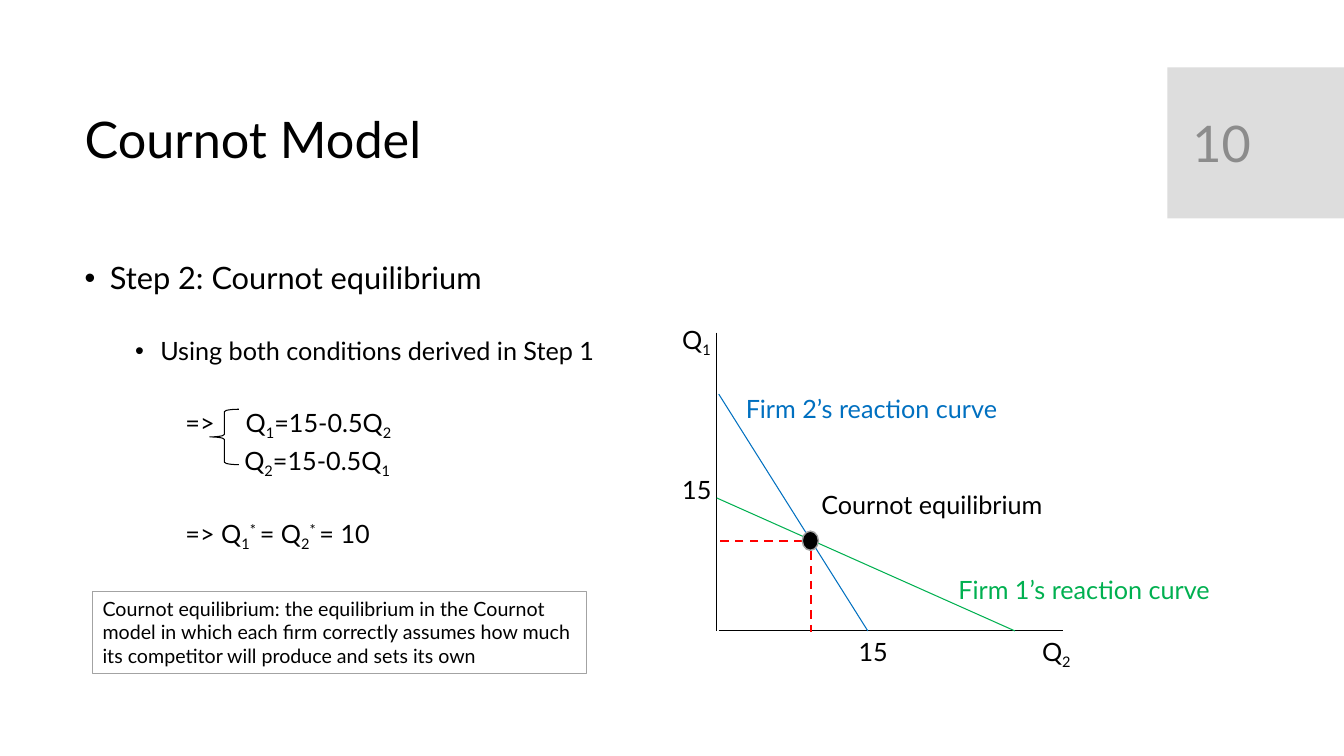
from dataclasses import dataclass

from lxml import etree
from pptx import Presentation
from pptx.dml.color import RGBColor
from pptx.enum.dml import MSO_LINE
from pptx.enum.shapes import MSO_CONNECTOR, MSO_SHAPE
from pptx.enum.text import MSO_ANCHOR, MSO_AUTO_SIZE, PP_ALIGN
from pptx.oxml.ns import qn
from pptx.util import Pt

STRAIGHT = MSO_CONNECTOR.STRAIGHT
RECTANGLE, ELLIPSE, BRACE = MSO_SHAPE.RECTANGLE, MSO_SHAPE.OVAL, MSO_SHAPE.LEFT_BRACE
LEFT, TOP, MIDDLE = PP_ALIGN.LEFT, MSO_ANCHOR.TOP, MSO_ANCHOR.MIDDLE
NO_AUTOFIT, DASH = MSO_AUTO_SIZE.NONE, MSO_LINE.DASH

FONT = "Lato"
BLACK, GRAY, PALE, BORDER = "000000", "8C8C8C", "DDDDDD", "A3A3A3"
BLUE, GREEN, RED = "0070C0", "00B050", "FF0000"
SUB, SUPER = -25, 30

# A span is a text and its baseline shift in percent
Spans = tuple[tuple[str, int], ...]


@dataclass
class Item:
    spans: Spans
    level: int
    size: float
    margin: float
    indent: float
    before: float
    bullet: bool = False


@dataclass
class Label:
    spans: Spans
    left: float
    top: float
    width: float
    color: str = BLACK


@dataclass
class Segment:
    start: tuple[float, float]
    end: tuple[float, float]
    color: str = BLACK
    width: float = 0.75
    dashed: bool = False


ORIGIN_X, ORIGIN_Y = 512, 450.7
TICK_WIDTH, NAME_WIDTH, LABEL_HEIGHT = 44, 219.6, 28.8

ITEMS = [
    Item((("Step 2: Cournot equilibrium", 0),), 0, 22, 18, -18, 0, True),
    Item((("Using both conditions derived in Step 1", 0),), 1, 18, 54, -18, 30, True),
    Item((("=>\tQ", 0), ("1", SUB), ("=15-0.5Q", 0), ("2", SUB)), 2, 18, 115, -43, 30),
    Item((("Q", 0), ("2", SUB), ("=15-0.5Q", 0), ("1", SUB)), 2, 18, 114, 0, 5),
    Item((("=> Q", 0), ("1", SUB), ("* ", SUPER), ("= Q", 0), ("2", SUB),
          ("* ", SUPER), ("= 10", 0)), 2, 18, 72, 0, 30),
]
SEGMENTS = [
    Segment((ORIGIN_X, 237.6), (ORIGIN_X, ORIGIN_Y)),
    Segment((513.4, ORIGIN_Y), (759.6, ORIGIN_Y)),
    Segment((513.4, 281.5), (619.9, ORIGIN_Y), BLUE),
    Segment((ORIGIN_X, 355.7), (725, ORIGIN_Y), GREEN),
    Segment((573.1, 386.6), (513.4, 386.6), RED, 1.5, True),
    Segment((579.6, 393.8), (579.6, 451.4), RED, 1.5, True),
]
LABELS = [
    Label((("Q", 0), ("1", SUB)), 480.2, 228.2, TICK_WIDTH),
    Label((("Q", 0), ("2", SUB)), 737.3, ORIGIN_Y, TICK_WIDTH),
    Label((("15", 0),), 480.2, 335.5, TICK_WIDTH),
    Label((("15", 0),), 606.2, ORIGIN_Y, TICK_WIDTH),
    Label((("Firm 2’s reaction curve", 0),), 525.6, 277.2, NAME_WIDTH, BLUE),
    Label((("Firm 1’s reaction curve", 0),), 677.5, 406.8, NAME_WIDTH, GREEN),
    Label((("Cournot equilibrium", 0),), 579.6, 346.3, NAME_WIDTH),
]
DEFINITION = (
    "Cournot equilibrium: the equilibrium in the Cournot model in which each firm "
    "correctly assumes how much its competitor will produce and sets its own"
)


def rgb(color: str) -> RGBColor:
    return RGBColor.from_string(color)


def place(box, left: float, top: float, width: float, height: float) -> None:
    box.left, box.top, box.width, box.height = Pt(left), Pt(top), Pt(width), Pt(height)


def set_frame(box, anchor=TOP) -> None:
    frame = box.text_frame
    frame.word_wrap = True
    frame.auto_size = NO_AUTOFIT
    frame.vertical_anchor = anchor


def write(paragraph, spans: Spans, size: float, color: str = BLACK) -> None:
    paragraph.alignment = LEFT
    for text, shift in spans:
        span = paragraph.add_run()
        span.text = text
        font = span.font
        font.name, font.size, font.color.rgb = FONT, Pt(size), rgb(color)
        if shift:
            font._element.set("baseline", str(shift * 1000))


def add_text(page, label: Label, height: float, size: float, anchor=TOP) -> None:
    box = page.shapes.add_textbox(Pt(label.left), Pt(label.top), Pt(label.width), Pt(height))
    set_frame(box, anchor)
    write(box.text_frame.paragraphs[0], label.spans, size, label.color)


def add_item(paragraph, item: Item) -> None:
    paragraph.level = item.level
    paragraph.line_spacing = 0.9
    paragraph.space_before = Pt(item.before)
    properties = paragraph._p.get_or_add_pPr()
    properties.set("marL", str(Pt(item.margin)))
    properties.set("indent", str(Pt(item.indent)))
    if item.bullet:
        etree.SubElement(properties, qn("a:buFont")).set("typeface", "Arial")
        etree.SubElement(properties, qn("a:buChar")).set("char", "•")
    else:
        etree.SubElement(properties, qn("a:buNone"))
    write(paragraph, item.spans, item.size)


def add_figure(page, kind, left: float, top: float, width: float, height: float,
               fill: str = "", line: str = "", line_width: float = 0.75):
    figure = page.shapes.add_shape(kind, Pt(left), Pt(top), Pt(width), Pt(height))
    figure.shadow.inherit = False
    if fill:
        figure.fill.solid()
        figure.fill.fore_color.rgb = rgb(fill)
    else:
        figure.fill.background()
    if line:
        figure.line.color.rgb = rgb(line)
        figure.line.width = Pt(line_width)
    else:
        figure.line.fill.background()
    return figure


def add_segment(page, segment: Segment) -> None:
    ends = [Pt(value) for value in segment.start + segment.end]
    connector = page.shapes.add_connector(STRAIGHT, *ends)
    connector.line.color.rgb = rgb(segment.color)
    connector.line.width = Pt(segment.width)
    if segment.dashed:
        connector.line.dash_style = DASH
    etree.SubElement(connector._element.spPr, qn("a:effectLst"))


def main() -> None:
    deck = Presentation()
    deck.slide_width, deck.slide_height = Pt(960), Pt(540)
    page = deck.slides.add_slide(deck.slide_layouts[1])

    # Title and page number
    add_figure(page, RECTANGLE, 833.8, 48.2, 126.2, 107.8, PALE)
    title = page.shapes.title
    place(title, 53.3, 59, 756.7, 85)
    set_frame(title, MIDDLE)
    title.text_frame.paragraphs[0].line_spacing = 0.9
    write(title.text_frame.paragraphs[0], (("Cournot Model", 0),), 36)
    add_text(page, Label((("10", 0),), 844.6, 59, 90.7, GRAY), 85.7, 36, MIDDLE)

    # Derivation
    body = page.placeholders[1]
    place(body, 53.3, 184.3, 791.3, 315.4)
    set_frame(body)
    for index, item in enumerate(ITEMS):
        frame = body.text_frame
        add_item(frame.add_paragraph() if index else frame.paragraphs[0], item)
    add_figure(page, BRACE, 149.8, 292.3, 20.9, 39.6, line=BLACK)

    # Definition
    definition = add_figure(page, RECTANGLE, 66.2, 422.6, 352.8, 58.3, line=BORDER)
    set_frame(definition)
    write(definition.text_frame.paragraphs[0], ((DEFINITION, 0),), 14)

    # Reaction curve diagram
    for segment in SEGMENTS:
        add_segment(page, segment)
    add_figure(page, ELLIPSE, 573.1, 379.4, 11.5, 13.7, BLACK, BORDER, 1)
    for label in LABELS:
        add_text(page, label, LABEL_HEIGHT, 18)

    deck.save("out.pptx")


if __name__ == "__main__":
    main()
